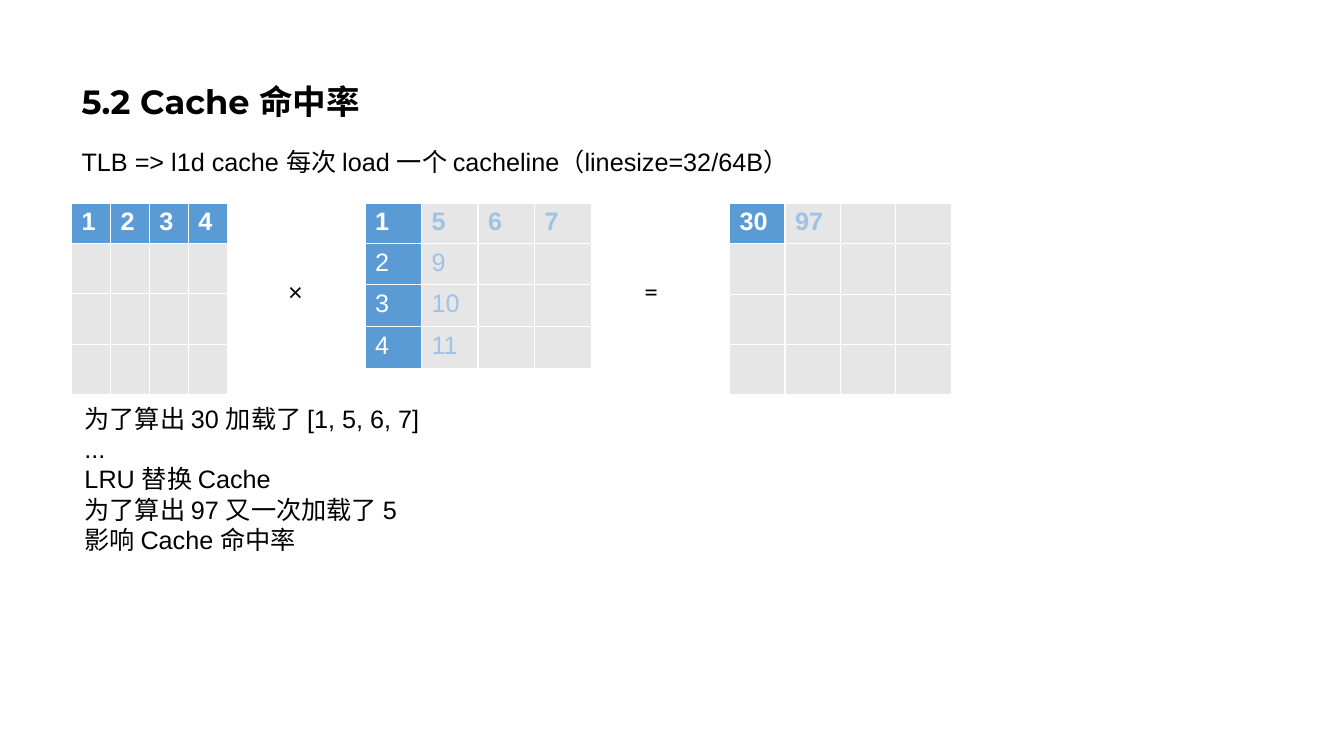
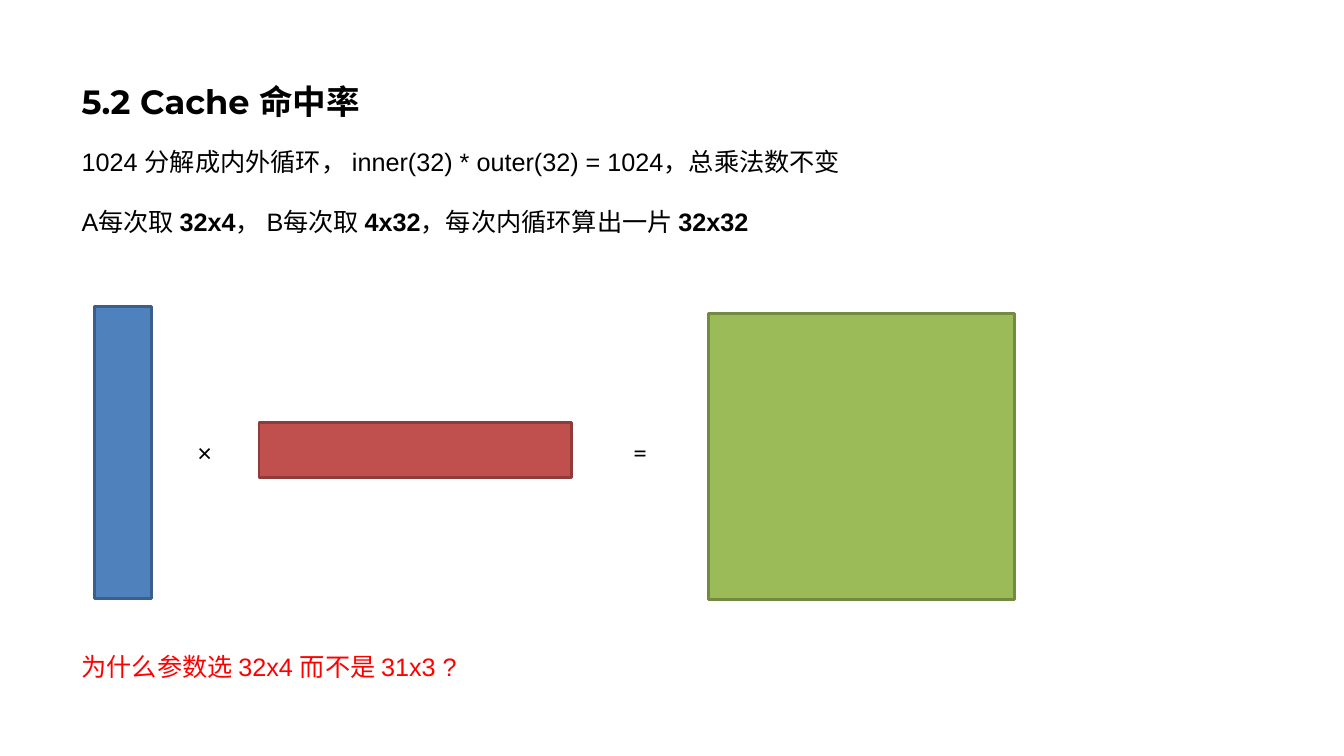
"""Build two slides on cache hit rate in matrix multiplication."""
import pptx
import pptx.dml.color
import pptx.enum.shapes
import pptx.enum.text
import pptx.util
import lxml.etree

Pt = pptx.util.Pt
RGB = pptx.dml.color.RGBColor
TEXT = pptx.enum.text

BLACK = RGB(0x00, 0x00, 0x00)
WHITE = RGB(0xFF, 0xFF, 0xFF)
RED = RGB(0xFF, 0x00, 0x00)
BLUE = RGB(0x5B, 0x9B, 0xD5)
PALE = RGB(0x9D, 0xC3, 0xE6)
GREY = RGB(0xE7, 0xE6, 0xE6)

LEFT = 51.1
LINE = 28.8
TITLE = "5.2 Cache 命中率"
LOADS = ["TLB => l1d cache 每次 load 一个 cacheline（linesize=32/64B）"]
LOOPS = [
    "1024 分解成内外循环， inner(32) * outer(32) = 1024，总乘法数不变",
    "A每次取 |32x4|， B每次取 |4x32|，每次内循环算出一片 |32x32|",
]
NOTES = [
    "为了算出 30 加载了 [1, 5, 6, 7]",
    "...",
    "LRU 替换 Cache",
    "为了算出 97 又一次加载了 5",
    "影响 Cache 命中率",
]
ASK = ["为什么参数选 32x4 而不是 31x3 ?"]

GRIDS = [
    {"left": LEFT, "col": 27.8, "rows": [LINE, 36, 36, 36],
     "cells": [["1", "2", "3", "4"]],
     "hot": {(0, 0), (0, 1), (0, 2), (0, 3)}},
    {"left": 260.7, "col": 40.4, "rows": [LINE, LINE, 30.2, 30.2],
     "cells": [["1", "5", "6", "7"], ["2", "9"], ["3", "10"], ["4", "11"]],
     "hot": {(0, 0), (1, 0), (2, 0), (3, 0)}},
    {"left": 521.1, "col": 39.6, "rows": [LINE, 36, 36, 36],
     "cells": [["30", "97"]],
     "hot": {(0, 0)}},
]
GRID_TOP = 145
BLOCKS = [
    ((67.7, 219, 40.4, 208.8), RGB(0x4F, 0x81, 0xBD), RGB(0x3A, 0x5F, 0x8C)),
    ((185, 301.7, 223.2, 39.6), RGB(0xC0, 0x50, 0x4D), RGB(0x8E, 0x3B, 0x39)),
    ((506.2, 224, 218.2, 204), RGB(0x9B, 0xBB, 0x59), RGB(0x73, 0x8A, 0x42)),
]
SIGNS = [("×", "Arial"), ("=", "Lato")]


def write(frame, lines, size=18, font="Arial", color=BLACK, bold=False, gap=0):
    """Fill a text frame, with bold runs between bars."""
    for row, line in enumerate(lines):
        para = frame.paragraphs[0] if row == 0 else frame.add_paragraph()
        para.alignment = TEXT.PP_ALIGN.LEFT
        para.space_before = Pt(gap if row else 0)
        for turn, part in enumerate(line.split("|")):
            if part:
                run = para.add_run()
                run.text = part
                run.font.size = Pt(size)
                run.font.name = font
                run.font.bold = bold or turn % 2 == 1
                run.font.color.rgb = color


def place(shape, left, top, width, height):
    """Set the place and size of a shape in points."""
    shape.left, shape.top = Pt(left), Pt(top)
    shape.width, shape.height = Pt(width), Pt(height)


def label(slide, box, lines, wrap=True, **style):
    """Add a text box."""
    frame = slide.shapes.add_textbox(*map(Pt, box)).text_frame
    frame.word_wrap = wrap
    write(frame, lines, **style)


def start(deck, lines, height):
    """Add a slide with its title and opening lines."""
    slide = deck.slides.add_slide(deck.slide_layouts[1])
    title, body = slide.placeholders
    place(title, LEFT, 20.2, 828, 104.4)
    title.text_frame.vertical_anchor = TEXT.MSO_ANCHOR.MIDDLE
    write(title.text_frame, [TITLE], size=24, font="Montserrat", bold=True)
    place(body, LEFT, 100.8, 751.7, height)
    body.text_frame.auto_size = TEXT.MSO_AUTO_SIZE.NONE
    write(body.text_frame, lines, gap=21)
    for para in body.text_frame.paragraphs:
        props = para._p.get_or_add_pPr()
        props.set("marL", "0")
        props.set("indent", "0")
        lxml.etree.SubElement(props, pptx.oxml.ns.qn("a:buNone"))
    return slide


def signs(slide, lefts, top):
    """Add the times and equals signs."""
    for (sign, font), left in zip(SIGNS, lefts):
        label(slide, (left, top, 24.5, LINE), [sign], wrap=False, font=font)


def grid(slide, left, col, rows, cells, hot):
    """Add a matrix as a table with its hot cells in blue."""
    count = len(rows)
    box = (left, GRID_TOP, col * count, sum(rows))
    table = slide.shapes.add_table(count, count, *map(Pt, box)).table
    table.horz_banding = False
    for column in table.columns:
        column.width = Pt(col)
    for row, height in enumerate(rows):
        table.rows[row].height = Pt(height)
        words = cells[row] if row < len(cells) else []
        for spot in range(count):
            cell = table.cell(row, spot)
            lit = (row, spot) in hot
            cell.fill.solid()
            cell.fill.fore_color.rgb = BLUE if lit else GREY
            if spot < len(words):
                write(cell.text_frame, [words[spot]], bold=row == 0,
                      color=WHITE if lit else PALE)


def block(slide, box, fill, edge):
    """Add a plain matrix block."""
    kind = pptx.enum.shapes.MSO_SHAPE.RECTANGLE
    shape = slide.shapes.add_shape(kind, *map(Pt, box))
    shape.shadow.inherit = False
    shape.fill.solid()
    shape.fill.fore_color.rgb = fill
    shape.line.color.rgb = edge
    shape.line.width = Pt(2)


def main():
    """Build and save the deck."""
    deck = pptx.Presentation()
    deck.slide_width, deck.slide_height = Pt(960), Pt(540)

    slide = start(deck, LOADS, LINE)
    for item in GRIDS:
        grid(slide, **item)
    signs(slide, (198.7, 452.9), 193.7)
    label(slide, (53.3, 284.4, 544.3, 115.2), NOTES)

    slide = start(deck, LOOPS, 72)
    for item in BLOCKS:
        block(slide, *item)
    signs(slide, (133.9, 445), 308.9)
    label(slide, (LEFT, 461.5, 751.7, LINE), ASK, color=RED)

    deck.save("out.pptx")


if __name__ == "__main__":
    main()
